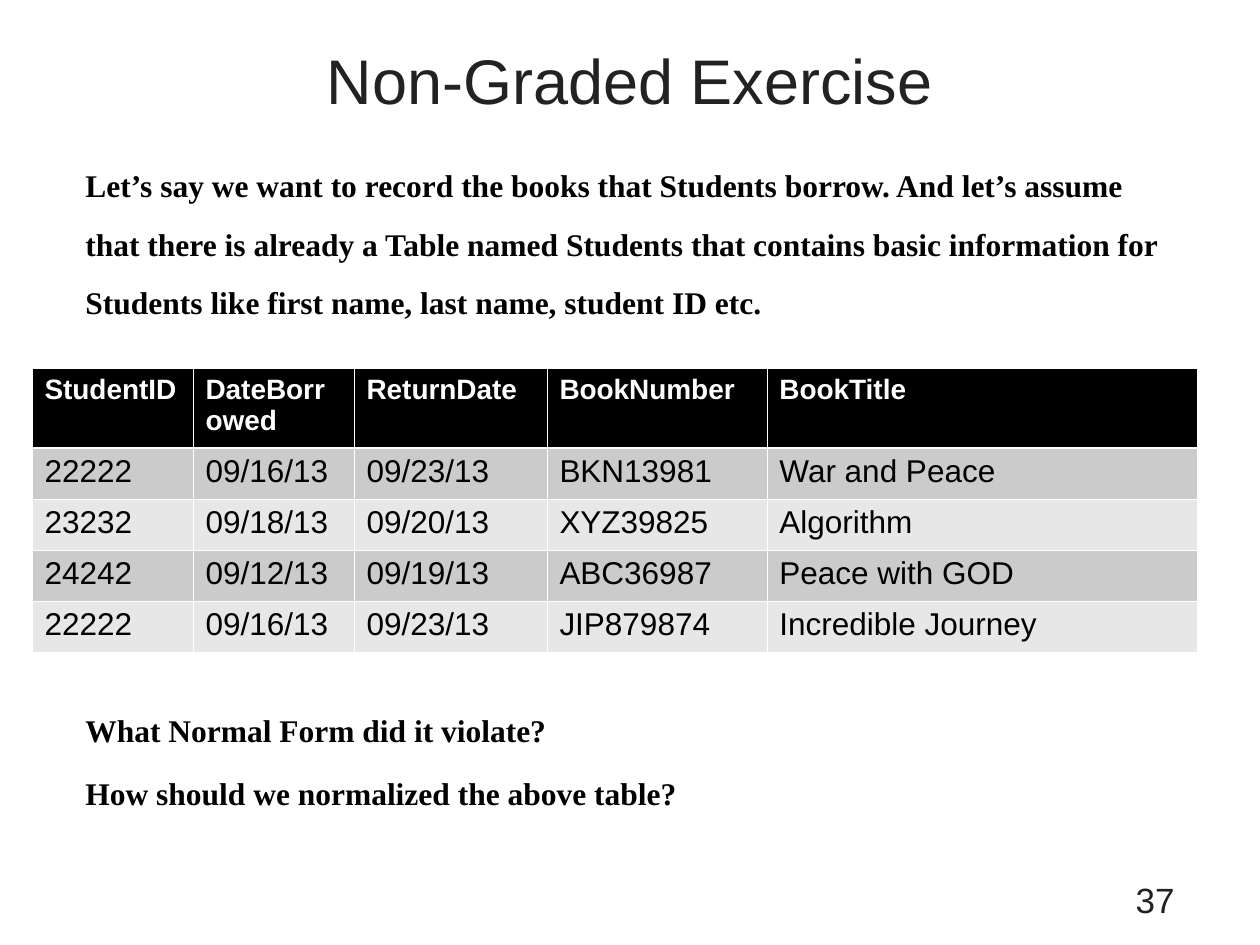
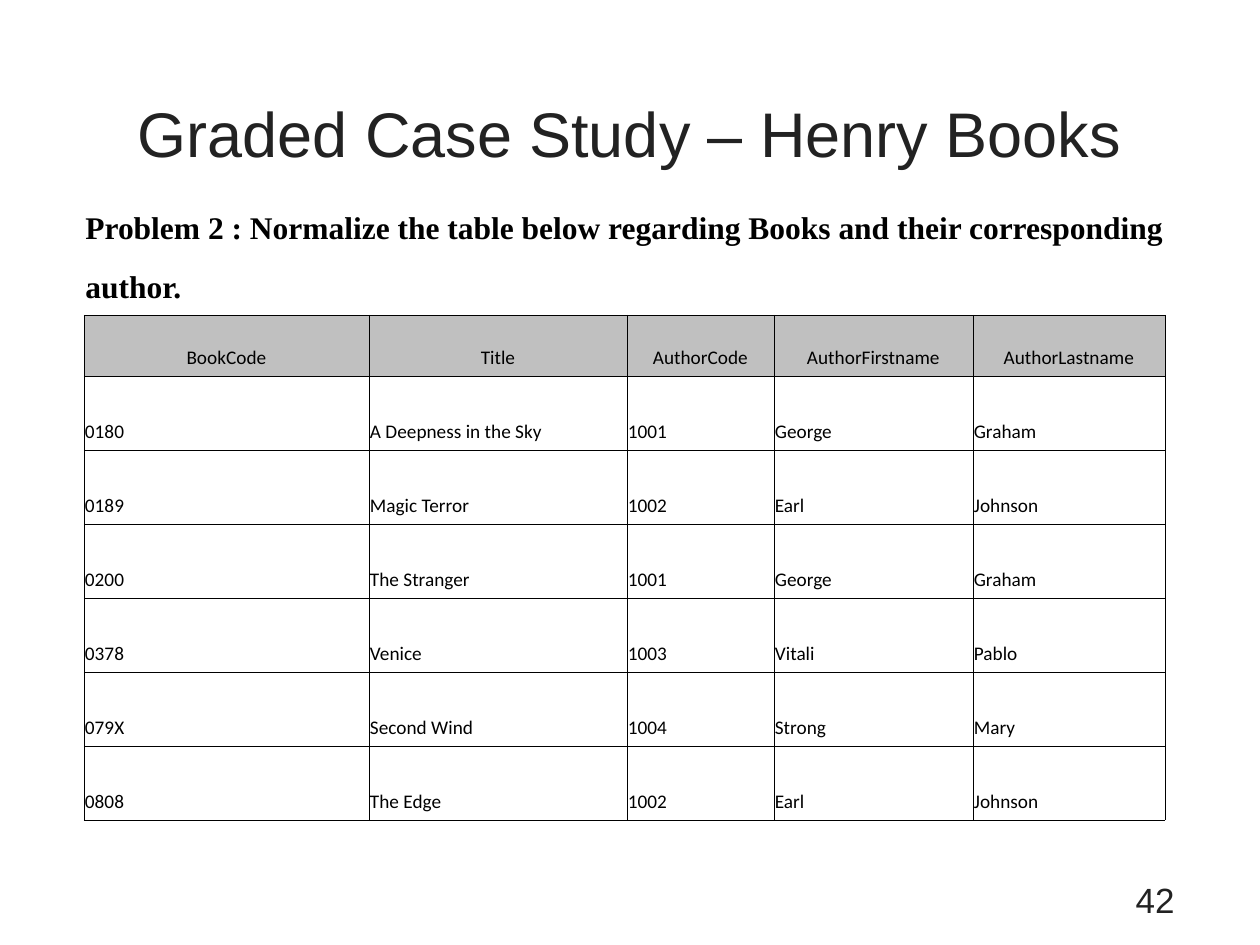
from lxml import etree
from pptx import Presentation
from pptx.dml import color
from pptx.enum import text
from pptx.oxml import ns
from pptx.util import Emu, Pt

# Shared scale, colours and fonts
PX = 914400 / 126
BLACK, WHITE, INK = "000000", "FFFFFF", "222222"
HEADER_GREY, DARK_BAND, LIGHT_BAND = "C0C0C0", "CBCBCB", "E7E7E7"
SANS, SERIF, TABLE_FONT = "Arial", "Times New Roman", "Calibri"
LEFT, CENTER, RIGHT = text.PP_ALIGN.LEFT, text.PP_ALIGN.CENTER, text.PP_ALIGN.RIGHT
TOP, MIDDLE, BOTTOM = text.MSO_ANCHOR.TOP, text.MSO_ANCHOR.MIDDLE, text.MSO_ANCHOR.BOTTOM

BORROWED_BOOKS = [
    ["StudentID", "DateBorrowed", "ReturnDate", "BookNumber", "BookTitle"],
    ["22222", "09/16/13", "09/23/13", "BKN13981", "War and Peace"],
    ["23232", "09/18/13", "09/20/13", "XYZ39825", "Algorithm"],
    ["24242", "09/12/13", "09/19/13", "ABC36987", "Peace with GOD"],
    ["22222", "09/16/13", "09/23/13", "JIP879874", "Incredible Journey"],
]
BOOK_AUTHORS = [
    ["BookCode", "Title", "AuthorCode", "AuthorFirstname", "AuthorLastname"],
    ["0180", "A Deepness in the Sky", "1001", "George", "Graham"],
    ["0189", "Magic Terror", "1002", "Earl", "Johnson"],
    ["0200", "The Stranger", "1001", "George", "Graham"],
    ["0378", "Venice", "1003", "Vitali", "Pablo"],
    ["079X", "Second Wind", "1004", "Strong", "Mary"],
    ["0808", "The Edge", "1002", "Earl", "Johnson"],
]


def px(length):
    return Emu(round(length * PX))


def rgb(value):
    return color.RGBColor.from_string(value)


def format_paragraph(para, font, size, ink, bold=False, align=LEFT):
    para.alignment = align
    for span in para.runs:
        span.font.name = font
        span.font.size = Pt(size)
        span.font.bold = bold
        span.font.color.rgb = rgb(ink)


def add_text(page, area, content, font, size, ink, bold=False, align=LEFT, anchor=TOP):
    box = page.shapes.add_textbox(*map(px, area))
    frame = box.text_frame
    frame.word_wrap = True
    frame.vertical_anchor = anchor
    frame.text = content
    for para in frame.paragraphs:
        format_paragraph(para, font, size, ink, bold, align)
    return frame


def add_title(page, top, content):
    add_text(page, (73, top, 1113, 158), content, SANS, 36, INK, align=CENTER, anchor=MIDDLE)


def add_page_number(page, number):
    add_text(page, (903, 872, 284, 53), str(number), SANS, 20, INK, align=RIGHT)


def add_statement(page, top, width, *lines):
    """Bold serif text, one paragraph per line."""
    height = 50 + 58 * (len(lines) - 1)
    frame = add_text(page, (73, top, width, height), "\n".join(lines), SERIF, 18, BLACK, bold=True)
    for index, para in enumerate(frame.paragraphs):
        para.line_spacing = 1.04
        para.space_before = Pt(11.2 if index else 0)


def set_borders(cell, ink, widths):
    """Widths are points in the order left, right, top, bottom."""
    properties = cell._tc.get_or_add_tcPr()
    for side, width in zip(("lnL", "lnR", "lnT", "lnB"), widths):
        line = etree.SubElement(properties, ns.qn(f"a:{side}"), w=str(Pt(width)))
        fill = etree.SubElement(line, ns.qn("a:solidFill"))
        etree.SubElement(fill, ns.qn("a:srgbClr"), val=ink)


def add_grid(page, left, top, columns, heights, rows, style_cell):
    frame = page.shapes.add_table(len(rows), len(columns), px(left), px(top),
                                  px(sum(columns)), px(sum(heights)))
    table = frame.table
    table.horz_banding = False
    for column, width in zip(table.columns, columns):
        column.width = px(width)
    for row, height in zip(table.rows, heights):
        row.height = px(height)
    for row_index, values in enumerate(rows):
        for column_index, value in enumerate(values):
            cell = table.cell(row_index, column_index)
            cell.text_frame.text = value
            style_cell(cell, row_index)


def fill_cell(cell, fill):
    if fill:
        cell.fill.solid()
        cell.fill.fore_color.rgb = rgb(fill)
    else:
        cell.fill.background()


def style_banded(cell, row):
    """Black header over alternating grey rows, ruled in white."""
    header = row == 0
    set_borders(cell, WHITE, (0.45, 0.45, 1.47 if row == 1 else 0.45, 1.47 if header else 0.45))
    fill_cell(cell, BLACK if header else DARK_BAND if row % 2 else LIGHT_BAND)
    format_paragraph(cell.text_frame.paragraphs[0], SANS, 16 if header else 18,
                     WHITE if header else BLACK, bold=header)


def style_ruled(cell, row):
    """Thin black rules with a grey header, text at the foot of each cell."""
    header = row == 0
    set_borders(cell, BLACK, [0.23] * 4)
    fill_cell(cell, HEADER_GREY if header else None)
    cell.vertical_anchor = BOTTOM
    cell.margin_left = cell.margin_right = px(1)
    format_paragraph(cell.text_frame.paragraphs[0], TABLE_FONT, 11, BLACK,
                     align=CENTER if header else LEFT)


def add_page(deck, title, title_top, number):
    page = deck.slides.add_slide(deck.slide_layouts[6])
    add_title(page, title_top, title)
    add_page_number(page, number)
    return page


def build_exercise(deck):
    page = add_page(deck, "Non-Graded Exercise", 0, 37)
    add_grid(page, 32, 368, [161, 161, 193, 220, 430], [80] + [51] * 4,
             BORROWED_BOOKS, style_banded)
    add_statement(page, 158, 1113,
                  "Let’s say we want to record the books that Students borrow. And let’s assume",
                  "that there is already a Table named Students that contains basic information for",
                  "Students like first name, last name, student ID etc.")
    add_statement(page, 703, 1061, "What Normal Form did it violate?")
    add_statement(page, 766, 1061, "How should we normalized the above table?")


def build_case_study(deck):
    page = add_page(deck, "Graded Case Study – Henry Books", 53, 42)
    add_statement(page, 200, 1187,
                  "Problem 2 : Normalize the table below regarding Books and their corresponding",
                  "author.")
    add_grid(page, 84, 315, [285, 258, 147, 199, 192], [61] + [74] * 6,
             BOOK_AUTHORS, style_ruled)


def main():
    deck = Presentation()
    deck.slide_width, deck.slide_height = px(1260), px(945)
    build_exercise(deck)
    build_case_study(deck)
    deck.save("out.pptx")


if __name__ == "__main__":
    main()
